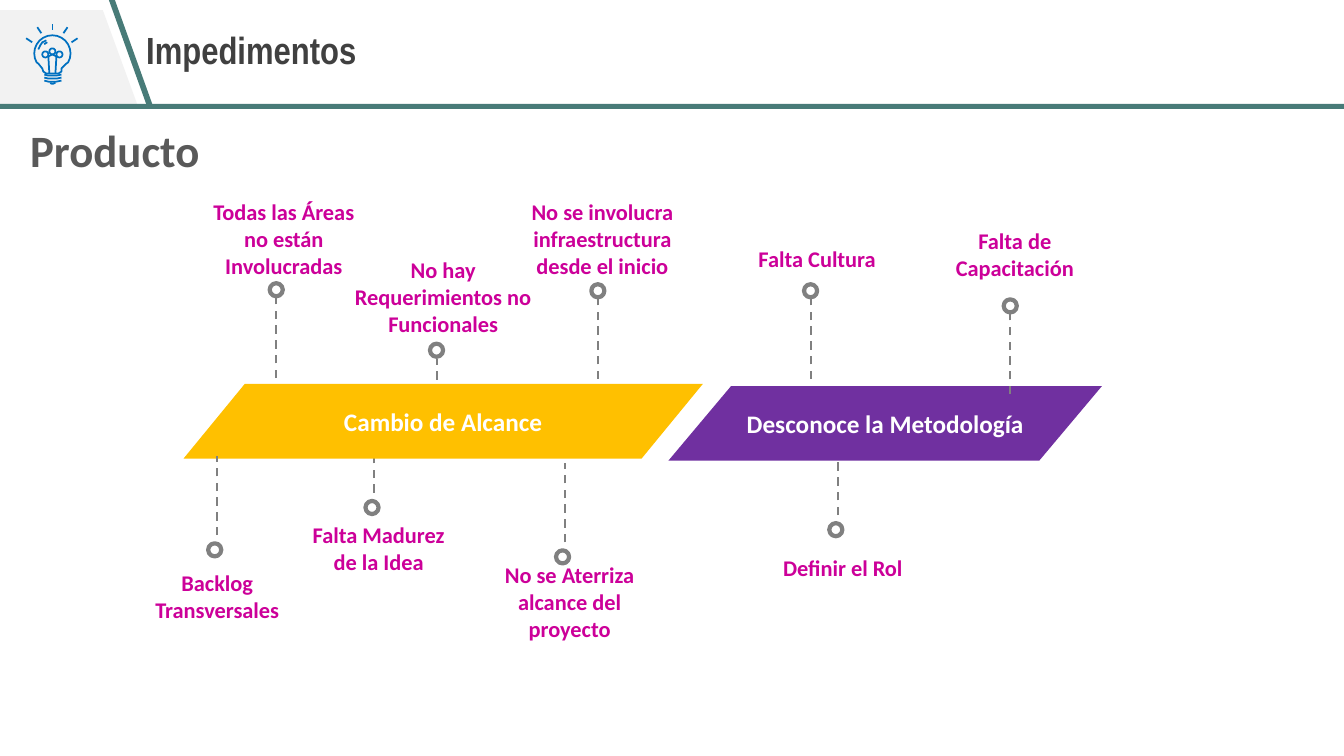
from math import cos, radians, sin

from lxml import etree
from pptx import Presentation
from pptx.dml.color import RGBColor
from pptx.enum.dml import MSO_LINE_DASH_STYLE as DASH
from pptx.enum.shapes import MSO_CONNECTOR, MSO_SHAPE
from pptx.enum.text import MSO_ANCHOR, PP_ALIGN
from pptx.oxml.ns import qn
from pptx.util import Inches, Pt

TEAL = RGBColor(0x48, 0x7B, 0x78)
PALE = RGBColor(0xF2, 0xF2, 0xF2)
BLUE = RGBColor(0x00, 0x70, 0xC0)
GRAY = RGBColor(0x80, 0x80, 0x80)
DARK = RGBColor(0x40, 0x40, 0x40)
HEADING = RGBColor(0x59, 0x59, 0x59)
MAGENTA = RGBColor(0xCC, 0x00, 0x99)
WHITE = RGBColor(0xFF, 0xFF, 0xFF)
YELLOW = RGBColor(0xFF, 0xC0, 0x00)
PURPLE = RGBColor(0x70, 0x30, 0xA0)

# Impediments: text, text lines, label (left, top, width), pin x, pin end at the ring, above the bar
IMPEDIMENTS_BEHIND = [
    ("Falta Cultura", 1, (7.09, 2.38, 2.03), 8.04, 2.97, True),
    ("Falta Madurez de la Idea", 2, (2.95, 5.12, 1.61), 3.71, 4.89, False),
    ("No hay Requerimientos no Funcionales", 3, (3.29, 2.49, 2.21), 4.33, 3.56, True),
    ("Definir el Rol", 1, (7.46, 5.45, 1.8), 8.31, 5.11, False),
    ("No se involucra infraestructura desde el inicio", 3, (4.98, 1.91, 1.99), 5.93, 2.97, True),
]
IMPEDIMENTS_FRONT = [
    ("Todas las Áreas no están Involucradas", 3, (1.93, 1.91, 1.77), 2.74, 2.96, True),
    ("Backlog Transversales", 2, (1.37, 5.59, 1.57), 2.15, 5.31, False),
    ("No se Aterriza alcance del proyecto", 3, (4.75, 5.51, 1.8), 5.6, 5.38, False),
    ("Falta de Capacitación", 2, (9.07, 2.2, 1.99), 10.02, 3.12, True),
]
# Bars: text, left, top, width, slant, colour
BARS = [
    ("Cambio de Alcance", 1.82, 3.81, 5.15, 0.82, YELLOW),
    ("Desconoce la Metodología", 6.63, 3.83, 4.3, 0.84, PURPLE),
]
PIN_LENGTH, RING_SIZE, BAR_HEIGHT = 0.79, 0.13, 0.74


def arc(x, y, radius_x, radius_y, start=0, end=360, step=15):
    return [(x + radius_x * cos(radians(a)), y + radius_y * sin(radians(a)))
            for a in range(start, end + 1, step)]


# Light bulb: glass, filament with three loops, screw base
BULB = [
    [(0.46, 0.73), (0.43, 0.71), (0.42, 0.68), (0.38, 0.63), *arc(0.52, 0.53, 0.18, 0.18, 150, 390),
     (0.66, 0.63), (0.61, 0.68), (0.61, 0.71), (0.58, 0.73), (0.46, 0.73)],
    [(0.49, 0.73), (0.48, 0.56), (0.52, 0.54), (0.56, 0.56), (0.55, 0.73)],
    *[arc(x, y, 0.03, 0.03) for x, y in ((0.45, 0.54), (0.52, 0.51), (0.59, 0.54))],
    *[[(0.44, y), (0.48, y + 0.01), (0.56, y + 0.01), (0.61, y)] for y in (0.74, 0.77, 0.8)],
    [(0.5, 0.82), (0.51, 0.83), (0.53, 0.83), (0.55, 0.82)],
]
# Rays, then the gleams on the glass
BULB_STROKES = [
    [(0.77, 0.38), (0.71, 0.42)],
    [(0.67, 0.27), (0.63, 0.33)],
    [(0.52, 0.24), (0.52, 0.3)],
    [(0.37, 0.27), (0.41, 0.33)],
    [(0.26, 0.38), (0.32, 0.42)],
    [(0.38, 0.49), (0.4, 0.45), (0.42, 0.42), (0.46, 0.4)],
    [(0.44, 0.44), (0.45, 0.43), (0.47, 0.42)],
]

prs = Presentation()
prs.slide_width, prs.slide_height = Inches(13.33), Inches(7.5)
slide = prs.slides.add_slide(prs.slide_layouts[5])
shapes = slide.shapes


def paint(shape, fill=None, line=None, weight=1.25):
    shape.shadow.inherit = False
    if fill is None:
        shape.fill.background()
    else:
        shape.fill.solid()
        shape.fill.fore_color.rgb = fill
    if line is None:
        shape.line.fill.background()
    else:
        shape.line.color.rgb = line
        shape.line.width = Pt(weight)


def add_outline(*contours, closed=False):
    first, *others = [[(Inches(x), Inches(y)) for x, y in contour] for contour in contours]
    builder = shapes.build_freeform(*first[0])
    builder.add_line_segments(first[1:], close=closed)
    for contour in others:
        builder.move_to(*contour[0])
        builder.add_line_segments(contour[1:], close=closed)
    return builder.convert_to_shape()


def add_preset(preset, *box):
    return shapes.add_shape(preset, *map(Inches, box))


def write(shape, text, size, color, font="Calibri", align=PP_ALIGN.CENTER,
          anchor=MSO_ANCHOR.MIDDLE, wrap=True):
    frame = shape.text_frame
    frame.word_wrap = wrap
    frame.vertical_anchor = anchor
    paragraph = frame.paragraphs[0]
    paragraph.alignment = align
    run = paragraph.add_run()
    run.text = text
    run.font.name, run.font.size, run.font.bold = font, Pt(size), True
    run.font.color.rgb = color
    return paragraph


def add_impediment(text, lines, label_place, x, ring_end, above):
    # Dashed pin, drawn upwards
    bottom = ring_end + PIN_LENGTH if above else ring_end
    pin = shapes.add_connector(MSO_CONNECTOR.STRAIGHT, Inches(x), Inches(bottom),
                               Inches(x), Inches(bottom - PIN_LENGTH))
    pin.line.color.rgb = GRAY
    pin.line.width = Pt(1.5)
    pin.line.dash_style = DASH.DASH
    etree.SubElement(pin._element.spPr, qn("a:effectLst"))

    # Ring at the end of the pin
    ring_left = x - RING_SIZE / 2 - (0 if above else 0.02)
    ring_top = ring_end - 0.15 if above else ring_end + 0.08
    ring = add_preset(MSO_SHAPE.OVAL, ring_left, ring_top, RING_SIZE, RING_SIZE)
    paint(ring, line=GRAY, weight=3)

    label = shapes.add_textbox(*map(Inches, (*label_place, 0.1 + 0.27 * lines)))
    write(label, text, 16, MAGENTA)


# Header band
panel = add_outline([(0, 0.1), (1.02, 0.1), (1.36, 1.03), (0, 1.03)], closed=True)
paint(panel, PALE)
paint(add_outline(*BULB), line=BLUE)
for stroke in BULB_STROKES:
    paint(add_outline(stroke), line=BLUE)
paint(add_preset(MSO_SHAPE.RECTANGLE, 0, 1.03, 13.33, 0.05), TEAL)
slash = add_outline([(1.08, 0), (1.14, 0), (1.51, 1.03), (1.45, 1.03)], closed=True)
paint(slash, TEAL)

# Title and heading
title = shapes.title
title.left, title.top, title.width, title.height = map(Inches, (1.27, 0, 9.27, 1.03))
title.text_frame.margin_left = Inches(0.18)
write(title, "Impedimentos", 27, DARK, "Arial Narrow", PP_ALIGN.LEFT).line_spacing = 0.9
heading = shapes.add_textbox(*map(Inches, (0.2, 1.17, 1.9, 0.64)))
write(heading, "Producto", 32, HEADING, align=PP_ALIGN.LEFT, anchor=MSO_ANCHOR.TOP, wrap=False)

# Bars between the two layers of impediments
for impediment in IMPEDIMENTS_BEHIND:
    add_impediment(*impediment)
for text, left, top, width, slant, color in BARS:
    bar = add_preset(MSO_SHAPE.PARALLELOGRAM, left, top, width, BAR_HEIGHT)
    bar.adjustments[0] = slant
    paint(bar, color)
    write(bar, text, 18, WHITE)
for impediment in IMPEDIMENTS_FRONT:
    add_impediment(*impediment)

prs.save("out.pptx")
